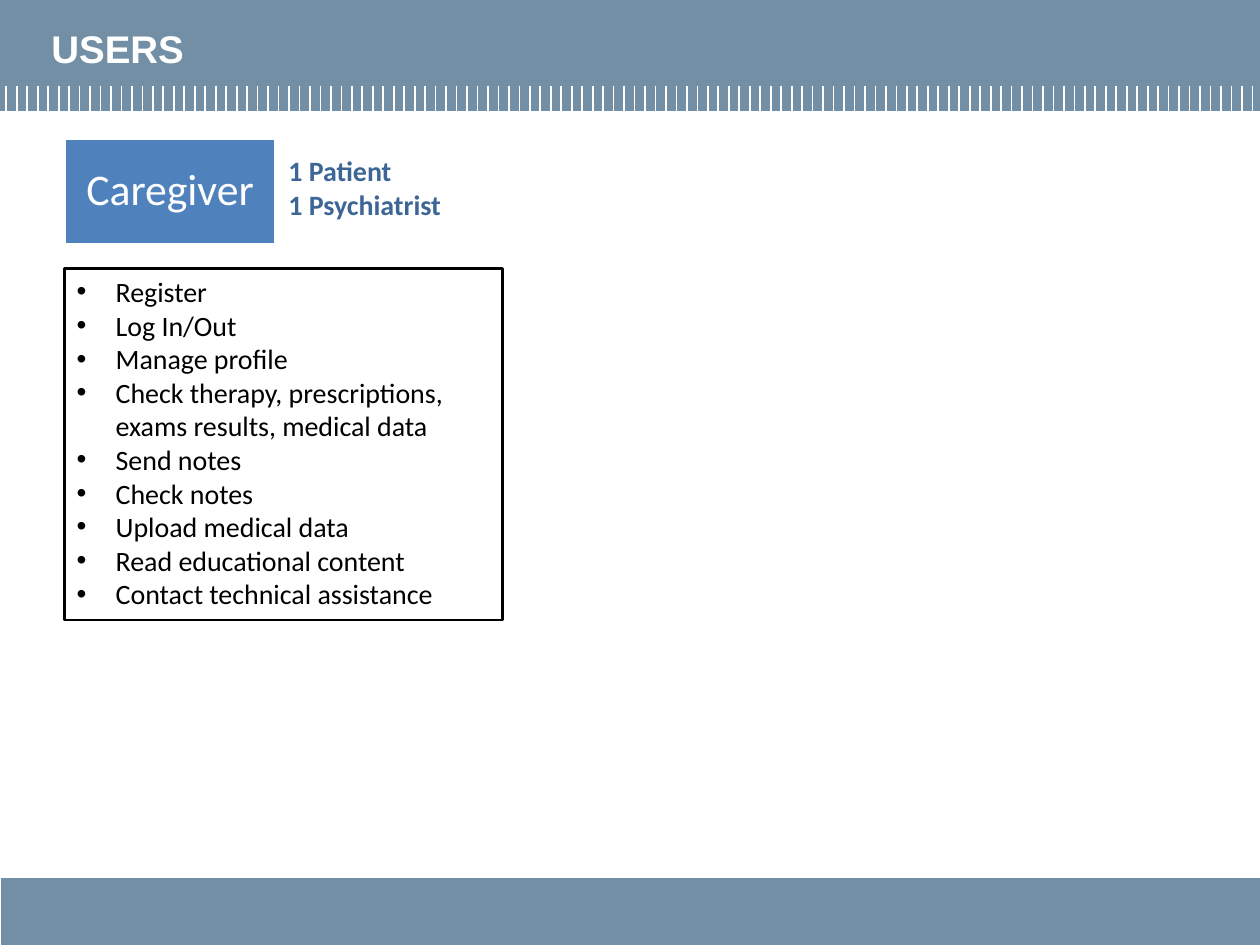
from lxml.etree import SubElement
from pptx import Presentation
from pptx.dml.color import RGBColor
from pptx.enum.shapes import MSO_CONNECTOR as CONN, MSO_SHAPE as SHAPE
from pptx.enum.text import MSO_ANCHOR as ANCHOR, MSO_AUTO_SIZE as FIT, PP_ALIGN as ALIGN
from pptx.oxml.ns import qn
from pptx.util import Inches, Pt

SLATE = RGBColor(0x72, 0x8F, 0xA5)
BLUE = RGBColor(0x4F, 0x81, 0xBD)
NAVY = RGBColor(0x3D, 0x66, 0x96)
WHITE = RGBColor(0xFF, 0xFF, 0xFF)
BLACK = RGBColor(0, 0, 0)

prs = Presentation()
prs.slide_width, prs.slide_height = Inches(10), Inches(7.5)
s = prs.slides.add_slide(prs.slide_layouts[6])
COL, ROW = prs.slide_width / 100, prs.slide_height / 100


def write(sp, lines, size, color, font="Calibri", bold=False, align=ALIGN.LEFT,
          anchor=ANCHOR.TOP, inset=None, spacing=None, bullet=False, fit=FIT.NONE):
    tf = sp.text_frame
    tf.word_wrap = True
    tf.auto_size = fit
    tf.vertical_anchor = anchor
    if inset is not None:
        tf.margin_left = tf.margin_right = tf.margin_top = tf.margin_bottom = inset
    for i, line in enumerate(lines):
        p = tf.add_paragraph() if i else tf.paragraphs[0]
        p.alignment = align
        if spacing:
            p.line_spacing = spacing
        if bullet:
            pPr = p._p.get_or_add_pPr()
            pPr.set("marL", str(Inches(0.31)))
            pPr.set("indent", str(-Inches(0.31)))
            SubElement(pPr, qn("a:buFont")).set("typeface", "Arial")
            SubElement(pPr, qn("a:buChar")).set("char", "•")
        r = p.add_run()
        r.text = line
        r.font.name, r.font.size, r.font.bold = font, Pt(size), bold
        r.font.color.rgb = color


def add_box(x, y, w, h, fill=None, line=None, width=1):
    sp = s.shapes.add_shape(SHAPE.RECTANGLE, int(x * COL), int(y * ROW), int(w * COL), int(h * ROW))
    sp.shadow.inherit = False
    if fill is None:
        sp.fill.background()
    else:
        sp.fill.solid()
        sp.fill.fore_color.rgb = fill
    if line is None:
        sp.line.fill.background()
    else:
        sp.line.color.rgb = line
        sp.line.width = Pt(width)
    return sp


add_box(0, 0, 100, 11.73, SLATE, SLATE, 0.75)
add_box(0.1, 92.93, 100, 7.47, SLATE)

TICKS = 120
FIRST, LAST = 0.5, 99.4
ticks = s.shapes.add_group_shape()
for i in range(TICKS):
    x = int((FIRST + i * (LAST - FIRST) / (TICKS - 1)) * COL)
    tick = ticks.shapes.add_connector(CONN.STRAIGHT, x, int(9.07 * ROW), x, int(11.73 * ROW))
    tick.line.color.rgb = WHITE
    tick.line.width = Pt(1)
    SubElement(tick._element.spPr, qn("a:effectLst"))

title = s.shapes.add_textbox(int(3.1 * COL), int(2 * ROW), int(93.8 * COL), int(12.27 * ROW))
write(title, ["USERS"], 22, WHITE, font="Arial", bold=True)

tasks = add_box(5.1, 28.4, 34.8, 37.2, line=BLACK, width=1.5)
write(tasks, [
    "Register",
    "Log In/Out",
    "Manage profile",
    "Check therapy, prescriptions, exams results, medical data",
    "Send notes",
    "Check notes",
    "Upload medical data",
    "Read educational content",
    "Contact technical assistance",
], 16, BLACK, bullet=True, fit=FIT.SHAPE_TO_FIT_TEXT)

role = add_box(5.1, 14.67, 16.8, 11.2, BLUE, WHITE, 2)
write(role, ["Caregiver"], 25, WHITE, align=ALIGN.CENTER, anchor=ANCHOR.MIDDLE,
      inset=Inches(0.02), spacing=0.9)

links = s.shapes.add_textbox(int(21.9 * COL), int(15.6 * ROW), int(19.8 * COL), int(8.53 * ROW))
write(links, ["1 Patient", "1 Psychiatrist"], 16, NAVY, bold=True, fit=FIT.SHAPE_TO_FIT_TEXT)

prs.save("out.pptx")
